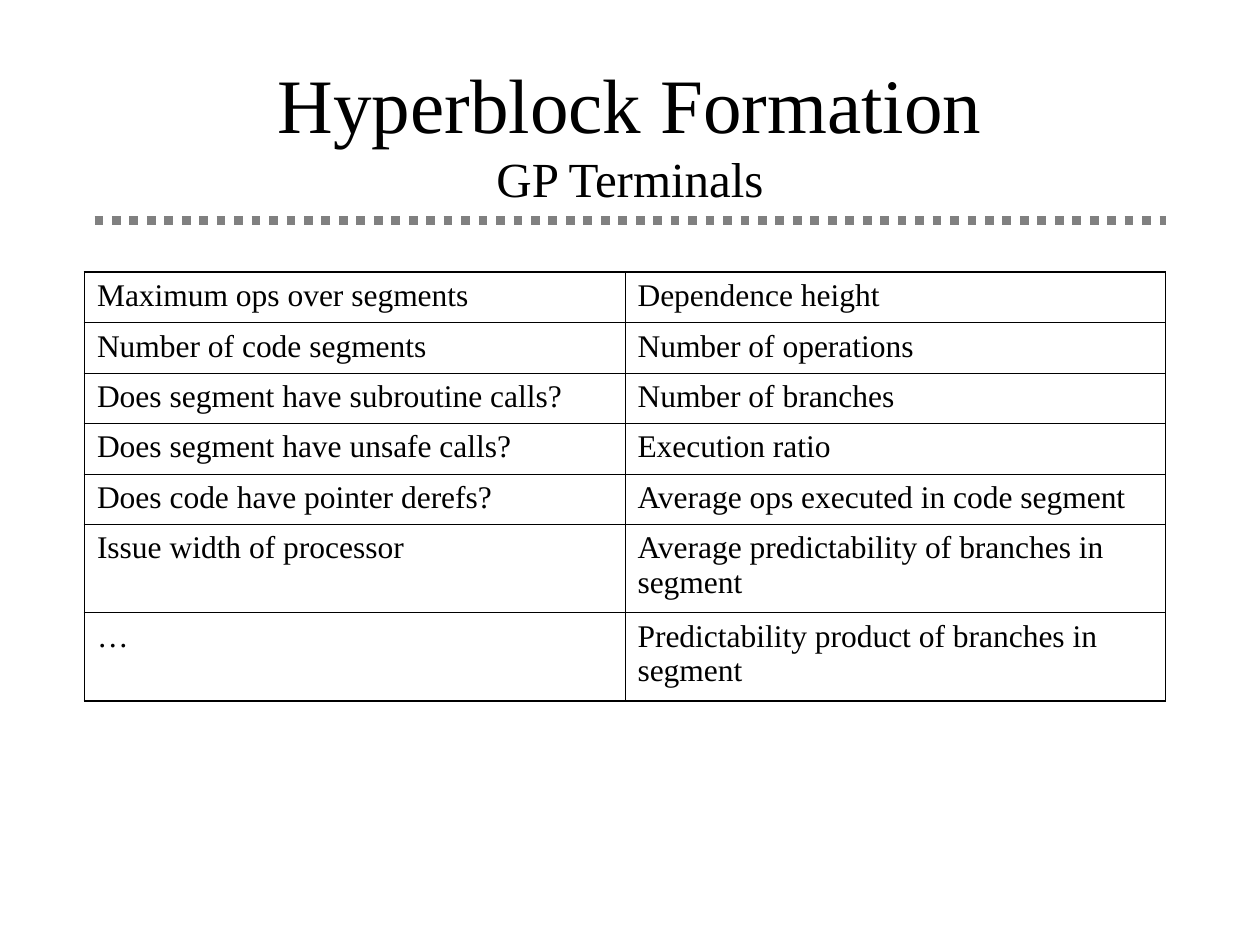
from lxml.etree import SubElement
from pptx import Presentation
from pptx.dml.color import RGBColor
from pptx.enum.dml import MSO_LINE_DASH_STYLE as Dash
from pptx.enum.shapes import MSO_CONNECTOR as Connector
from pptx.enum.text import MSO_ANCHOR as Anchor, PP_ALIGN as Align
from pptx.oxml.ns import qn
from pptx.util import Inches, Pt

COLORS = {"ink": "000000", "rule": "808080"}
FONT = "Times New Roman"
THIN, THICK = 0.45, 1.08
ROW_HEIGHTS = [0.4] * 5 + [0.7] * 2
TERMINALS = [
    ("Maximum ops over segments", "Dependence height"),
    ("Number of code segments", "Number of operations"),
    ("Does segment have subroutine calls?", "Number of branches"),
    ("Does segment have unsafe calls?", "Execution ratio"),
    ("Does code have pointer derefs?", "Average ops executed in code segment"),
    ("Issue width of processor", "Average predictability of branches in segment"),
    ("…", "Predictability product of branches in segment"),
]


def add_text(paragraph, text, size=18, color="ink"):
    run = paragraph.add_run()
    run.text = text
    run.font.name = FONT
    run.font.size = Pt(size)
    run.font.color.rgb = RGBColor.from_string(COLORS[color])


def add_heading(slide, title, subtitle):
    heading = slide.shapes.add_textbox(Inches(0.75), Inches(0.42), Inches(8.5), Inches(1.25))
    frame = heading.text_frame
    frame.word_wrap = True
    frame.vertical_anchor = Anchor.MIDDLE
    paragraph = frame.paragraphs[0]
    paragraph.alignment = Align.CENTER
    add_text(paragraph, title, size=44)
    paragraph.add_line_break()
    add_text(paragraph, subtitle, size=28)


def add_dotted_rule(slide):
    rule = slide.shapes.add_connector(
        Connector.STRAIGHT, Inches(0.75), Inches(1.75), Inches(9.25), Inches(1.75))
    rule.line.color.rgb = RGBColor.from_string(COLORS["rule"])
    rule.line.width = Pt(5)
    rule.line.dash_style = Dash.ROUND_DOT
    SubElement(rule._element.spPr, qn("a:effectLst"))


def add_border(cell, side, width):
    border = SubElement(cell._tc.get_or_add_tcPr(), qn(f"a:ln{side}"), w=str(Pt(width)))
    fill = SubElement(border, qn("a:solidFill"))
    SubElement(fill, qn("a:srgbClr"), val=COLORS["ink"])


def add_terminals_table(slide):
    rows, columns = len(TERMINALS), len(TERMINALS[0])
    table = slide.shapes.add_table(
        rows, columns, Inches(0.67), Inches(2.16), Inches(8.58), Inches(sum(ROW_HEIGHTS))).table
    table.first_row = table.horz_banding = False
    for row, height in zip(table.rows, ROW_HEIGHTS):
        row.height = Inches(height)
    for r, terminals in enumerate(TERMINALS):
        for c, terminal in enumerate(terminals):
            cell = table.cell(r, c)
            outer_sides = {"L": c == 0, "R": c == columns - 1, "T": r == 0, "B": r == rows - 1}
            for side, is_outer in outer_sides.items():
                add_border(cell, side, THICK if is_outer else THIN)
            cell.fill.background()
            add_text(cell.text_frame.paragraphs[0], terminal)


def main():
    deck = Presentation()
    deck.slide_width, deck.slide_height = Inches(10), Inches(7.5)
    slide = deck.slides.add_slide(deck.slide_layouts[6])
    add_dotted_rule(slide)
    add_heading(slide, "Hyperblock Formation", "GP Terminals")
    add_terminals_table(slide)
    deck.save("out.pptx")


if __name__ == "__main__":
    main()
